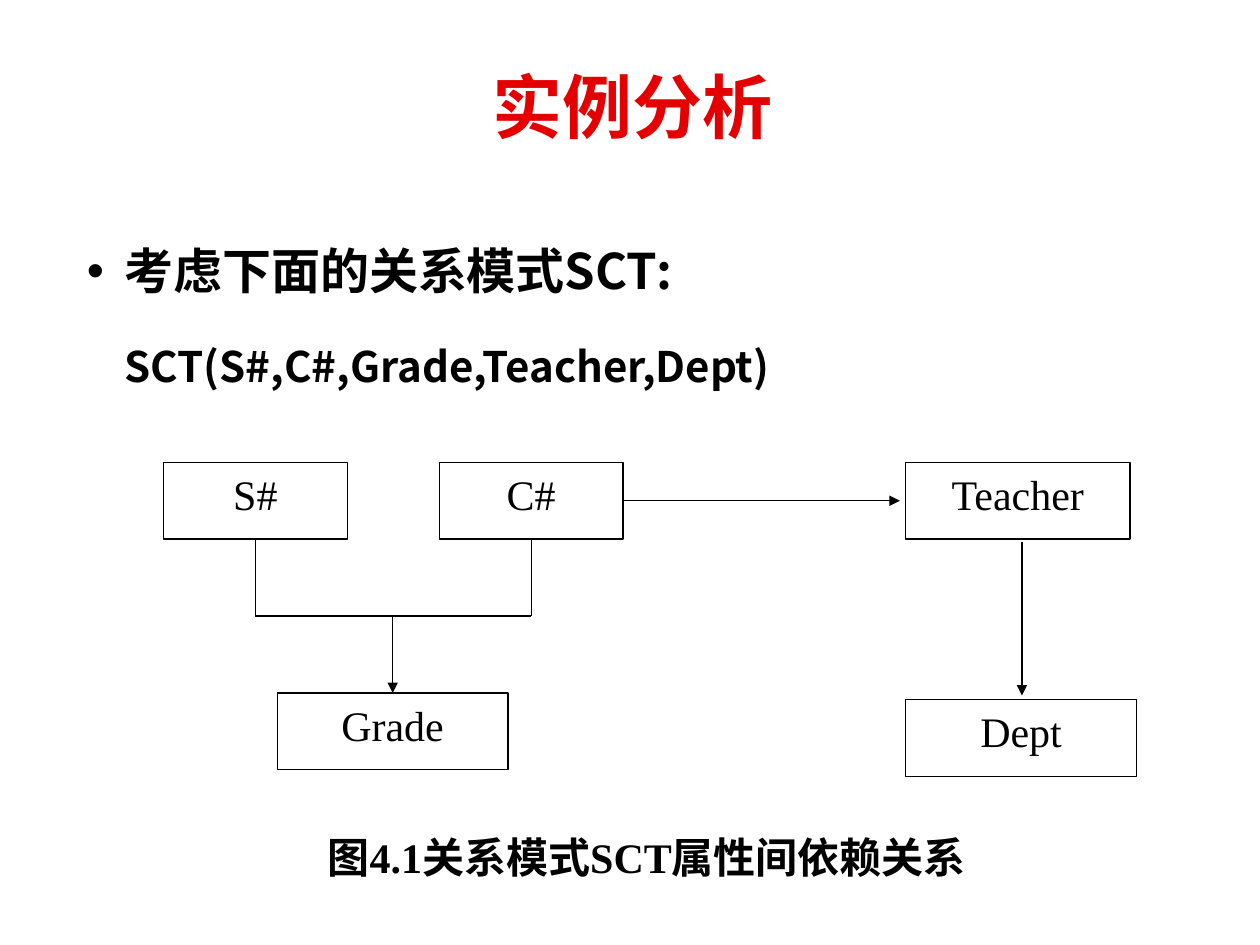
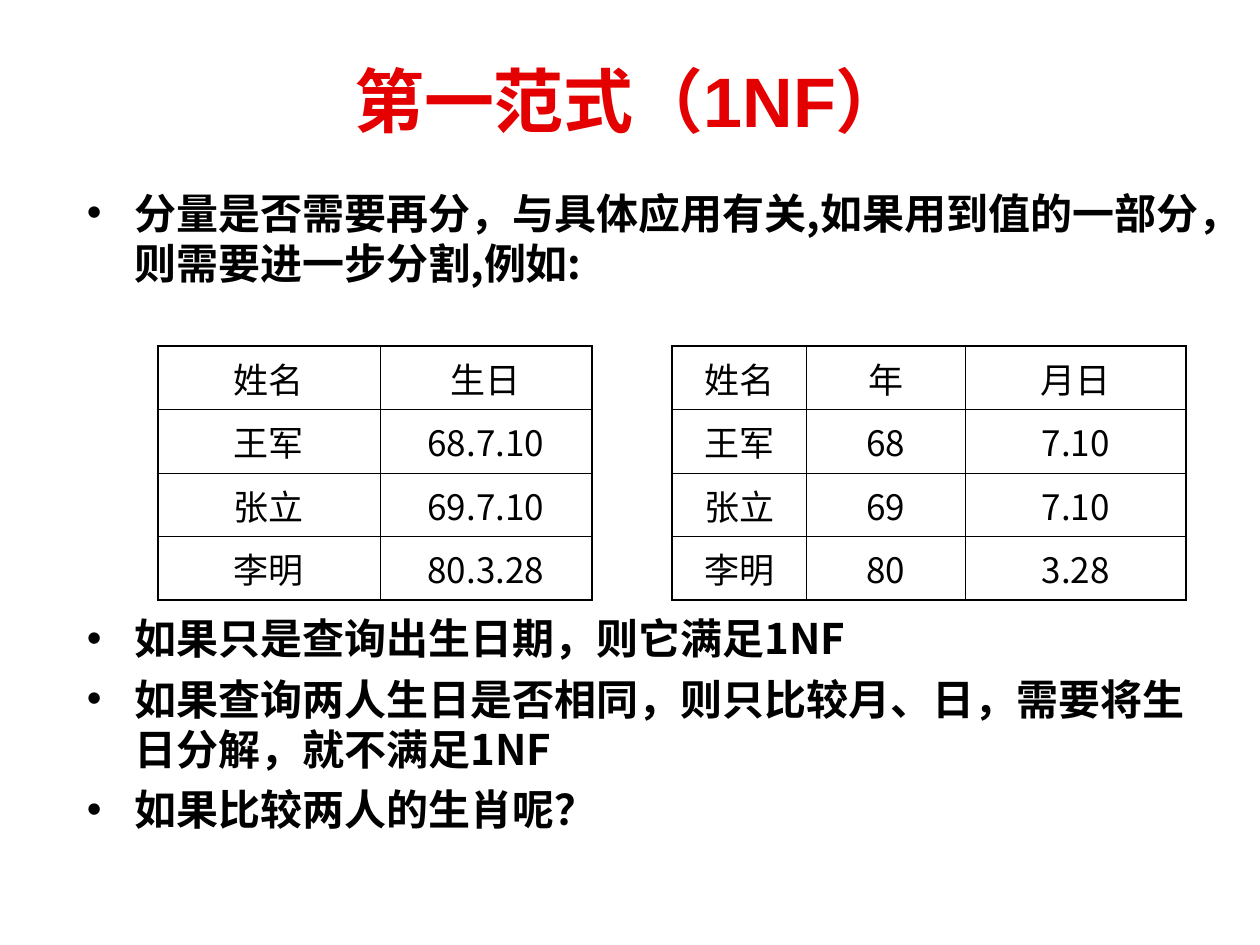
import dataclasses

import lxml.etree
import pptx
import pptx.dml.color
import pptx.enum.shapes
import pptx.enum.text
import pptx.oxml.ns
import pptx.util

Cm = pptx.util.Cm
Pt = pptx.util.Pt
qn = pptx.oxml.ns.qn
ALIGN = pptx.enum.text.PP_ALIGN
ANCHOR = pptx.enum.text.MSO_ANCHOR


@dataclasses.dataclass(frozen=True)
class Theme:
    red: pptx.dml.color.RGBColor = pptx.dml.color.RGBColor(0xE4, 0, 0)
    black: pptx.dml.color.RGBColor = pptx.dml.color.RGBColor(0, 0, 0)
    white: pptx.dml.color.RGBColor = pptx.dml.color.RGBColor(255, 255, 255)
    title_font: str = "Arial"
    body_font: str = "Noto Sans CJK SC"
    diagram_font: str = "Times New Roman"
    title_size: int = 40
    lead_size: int = 28
    body_size: int = 24
    cell_size: int = 20
    line_width: float = 0.75
    inner_border: float = 0.45
    outer_border: float = 1.08


theme = Theme()


def style_paragraph(para, font, size, bold=False, color=theme.black,
                    align=ALIGN.LEFT, line=None, before=0, margin=0, bullet=False):
    """Format a paragraph and its runs; margin is the text indent in cm."""
    para.alignment = align
    para.space_before = Pt(before)
    if line:
        para.line_spacing = Pt(line)
    properties = para._p.get_or_add_pPr()
    properties.set("marL", str(Cm(margin)))
    properties.set("indent", str(-Cm(margin) if bullet else 0))
    if bullet:
        lxml.etree.SubElement(properties, qn("a:buFont"), typeface=theme.title_font)
        lxml.etree.SubElement(properties, qn("a:buChar"), char="•")
    for span in para.runs:
        span.font.size = Pt(size)
        span.font.bold = bold
        span.font.color.rgb = color
        span.font.name = font
        lxml.etree.SubElement(span._r.get_or_add_rPr(), qn("a:ea"), typeface=theme.body_font)


def draw_line(page, start, end, arrow=False):
    """Draw a straight black line between two points."""
    line = page.shapes.add_connector(
        pptx.enum.shapes.MSO_CONNECTOR.STRAIGHT, *start, *end)
    line.line.color.rgb = theme.black
    line.line.width = Pt(theme.line_width)
    if arrow:
        lxml.etree.SubElement(line.line._get_or_add_ln(), qn("a:tailEnd"), type="triangle")
    lxml.etree.SubElement(line._element.spPr, qn("a:effectLst"))
    return line


deck = pptx.Presentation()
deck.slide_width, deck.slide_height = Cm(25.4), Cm(19.05)

# Pages with their titles
pages = []
for title, left, top, width, height in [
    ("实例分析", 2.9, 1.12, 19.69, 2.03),
    ("第一范式（1NF）", 1.9, 0.71, 21.6, 2.59),
]:
    page = deck.slides.add_slide(deck.slide_layouts[6])
    box = page.shapes.add_textbox(Cm(left), Cm(top), Cm(width), Cm(height))
    frame = box.text_frame
    frame.word_wrap = True
    frame.vertical_anchor = ANCHOR.MIDDLE
    frame.text = title
    style_paragraph(frame.paragraphs[0], theme.title_font, theme.title_size, True,
                    theme.red, ALIGN.CENTER)
    pages.append(page)
example_page, normal_form_page = pages

# Relation schema
box = example_page.shapes.add_textbox(Cm(1.5), Cm(3.94), Cm(22.25), Cm(3.99))
frame = box.text_frame
frame.word_wrap = True
frame.text = "考虑下面的关系模式SCT:\nSCT(S#,C#,Grade,Teacher,Dept)"
lead, schema = frame.paragraphs
style_paragraph(lead, theme.body_font, theme.lead_size, True, line=56, margin=0.76, bullet=True)
style_paragraph(schema, theme.body_font, theme.body_size, True, line=46, before=6, margin=0.76)

# Attribute boxes
attributes = {}
for name, left, top, width in [
    ("S#", 3.3, 9.32, 3.7),
    ("C#", 8.86, 9.32, 3.7),
    ("Grade", 5.59, 13.97, 4.65),
    ("Teacher", 18.26, 9.32, 4.52),
    ("Dept", 18.26, 14.1, 4.65),
]:
    box = example_page.shapes.add_shape(
        pptx.enum.shapes.MSO_SHAPE.RECTANGLE, Cm(left), Cm(top), Cm(width), Cm(1.55))
    box.shadow.inherit = False
    box.fill.solid()
    box.fill.fore_color.rgb = theme.white
    box.line.color.rgb = theme.black
    box.line.width = Pt(theme.line_width)
    box.text_frame.vertical_anchor = ANCHOR.TOP
    box.text_frame.text = name
    style_paragraph(box.text_frame.paragraphs[0], theme.diagram_font, theme.body_size,
                    align=ALIGN.CENTER)
    attributes[name] = box

# S# and C# together determine Grade
bus_top = Cm(12.42)
key_centers = []
for name in ("S#", "C#"):
    box = attributes[name]
    center = box.left + box.width // 2
    key_centers.append(center)
    stem = draw_line(example_page, (center, box.top + box.height), (center, bus_top))
    stem.begin_connect(box, 2)
draw_line(example_page, (key_centers[0], bus_top), (key_centers[1], bus_top))
grade = attributes["Grade"]
center = grade.left + grade.width // 2
arrow = draw_line(example_page, (center, bus_top), (center, grade.top), arrow=True)
arrow.end_connect(grade, 0)

# C# determines Teacher, Teacher determines Dept
course = attributes["C#"]
middle = course.top + course.height // 2
arrow = draw_line(example_page, (course.left + course.width, middle),
                  (Cm(18.14), middle), arrow=True)
arrow.begin_connect(course, 3)
draw_line(example_page, (Cm(20.6), Cm(10.92)), (Cm(20.6), Cm(14.02)), arrow=True)

# Figure caption
box = example_page.shapes.add_textbox(Cm(3.3), Cm(16.56), Cm(19.48), Cm(1.55))
box.text_frame.word_wrap = True
box.text_frame.text = "图4.1关系模式SCT属性间依赖关系"
style_paragraph(box.text_frame.paragraphs[0], theme.diagram_font, theme.body_size, True,
                align=ALIGN.CENTER, line=31)

# Bullets above and below the tables
for top, height, bullets in [
    (3.66, 2.4, ["分量是否需要再分，与具体应用有关,如果用到值的一部分，则需要进一步分割,例如:"]),
    (12.24, 5.0, ["如果只是查询出生日期，则它满足1NF",
                  "如果查询两人生日是否相同，则只比较月、日，需要将生日分解，就不满足1NF",
                  "如果比较两人的生肖呢？"]),
]:
    box = normal_form_page.shapes.add_textbox(Cm(1.5), Cm(top), Cm(23.27), Cm(height))
    frame = box.text_frame
    frame.word_wrap = True
    frame.text = "\n".join(bullets)
    for index, para in enumerate(frame.paragraphs):
        style_paragraph(para, theme.body_font, theme.body_size, True, line=28.5,
                        before=6 if index else 0, margin=0.96, bullet=True)

# Birthday as one column, then split into two
for left, widths, records in [
    (3.18, [4.48, 4.27], [("姓名", "生日"), ("王军", "68.7.10"),
                          ("张立", "69.7.10"), ("李明", "80.3.28")]),
    (13.54, [2.72, 3.2, 4.45], [("姓名", "年", "月日"), ("王军", "68", "7.10"),
                                ("张立", "69", "7.10"), ("李明", "80", "3.28")]),
]:
    last_row, last_column = len(records) - 1, len(widths) - 1
    table = normal_form_page.shapes.add_table(
        len(records), len(widths), Cm(left), Cm(6.98),
        Cm(sum(widths)), Cm(1.28 * len(records))).table
    table.first_row = table.horz_banding = False
    for column, width in zip(table.columns, widths):
        column.width = Cm(width)
    for r, record in enumerate(records):
        for c, value in enumerate(record):
            cell = table.cell(r, c)
            cell.fill.background()
            cell.text_frame.text = value
            style_paragraph(cell.text_frame.paragraphs[0], theme.body_font,
                            theme.cell_size, align=ALIGN.CENTER)
            edges = {"L": c == 0, "R": c == last_column, "T": r == 0, "B": r == last_row}
            for position, (side, is_outer) in enumerate(edges.items()):
                weight = theme.outer_border if is_outer else theme.inner_border
                border = lxml.etree.Element(qn(f"a:ln{side}"), w=str(Pt(weight)))
                fill = lxml.etree.SubElement(border, qn("a:solidFill"))
                lxml.etree.SubElement(fill, qn("a:srgbClr"), val=str(theme.black))
                cell._tc.get_or_add_tcPr().insert(position, border)

deck.save("out.pptx")
